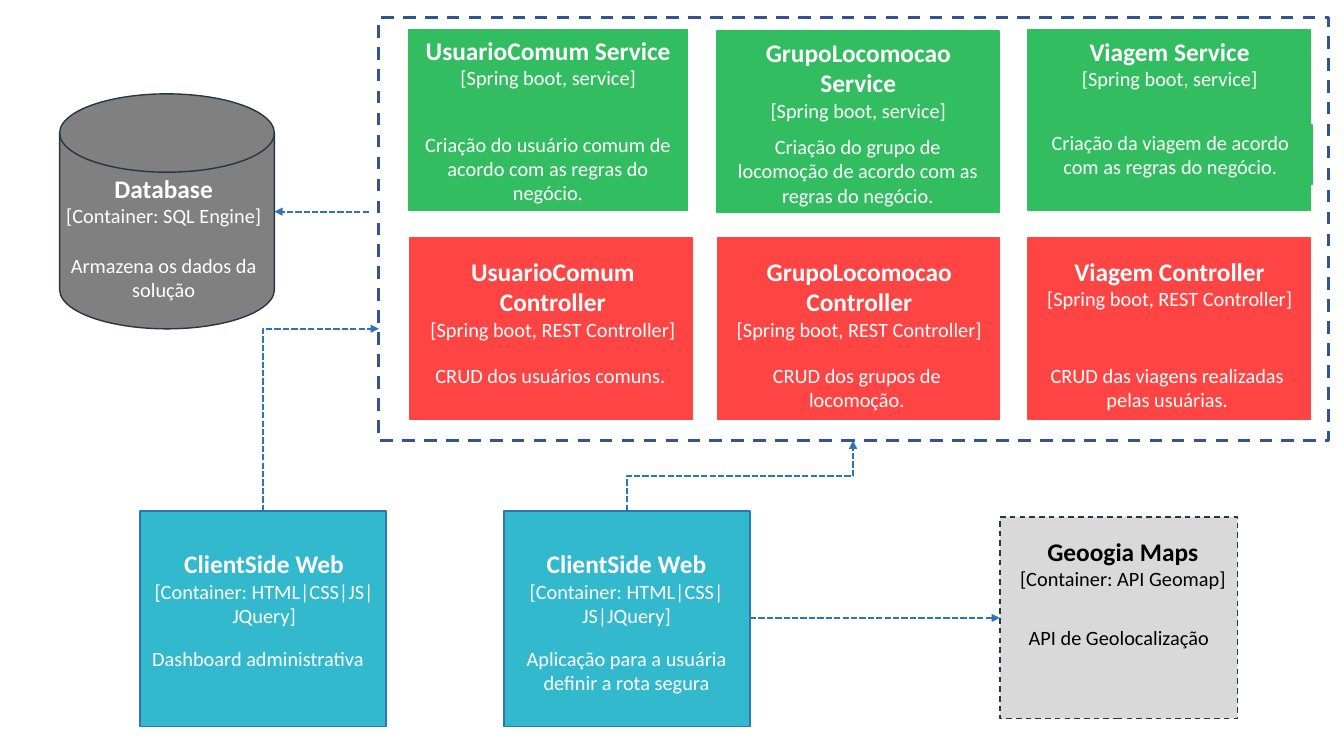
from lxml import etree
from pptx import Presentation
from pptx.dml.color import RGBColor
from pptx.enum.dml import MSO_LINE
from pptx.enum.shapes import MSO_CONNECTOR, MSO_SHAPE
from pptx.enum.text import MSO_ANCHOR, MSO_AUTO_SIZE, PP_ALIGN
from pptx.oxml.ns import qn
from pptx.util import Pt

RECTANGLE, DISK = MSO_SHAPE.RECTANGLE, MSO_SHAPE.FLOWCHART_MAGNETIC_DISK
STRAIGHT, ELBOW = MSO_CONNECTOR.STRAIGHT, MSO_CONNECTOR.ELBOW
DASH, SHORT_DASH = MSO_LINE.DASH, MSO_LINE.SQUARE_DOT
TOP, CENTER, GROW = MSO_ANCHOR.TOP, PP_ALIGN.CENTER, MSO_AUTO_SIZE.SHAPE_TO_FIT_TEXT

FONT, TITLE_SIZE, BODY_SIZE, PARAGRAPH_GAP = "Calibri", 18.1, 14.5, 17.7
ARROW_COLOR = "2E75B6"

STYLES = {
    "database": dict(shape=DISK, fill="808080", line="253746", text="FFFFFF"),
    "external": dict(fill="D9D9D9", line="253746", text="000000", dash=DASH),
    "client": dict(fill="32B9CD", line="2E75B6", text="FFFFFF"),
    "service": dict(fill="32BE60", line="32BE60", text="FFFFFF", label_line=0.75),
    "controller": dict(fill="FF4444", line="FF4444", text="FFFFFF", label_line=0),
}

# Rectangles are (left, top, width, height).
BACKEND = (270.6, 12.8, 678.4, 301.9)
SERVICE = "[Spring boot, service]"
CONTROLLER = "[Spring boot, REST Controller]"
CLIENT = ["ClientSide Web", "[Container: HTML|CSS|JS|JQuery]"]

# Each card: style, frame, then labels as (rectangle, lines).
OUTER_CARDS = [
    ("database", (42.6, 67.1, 153.4, 167.8), [
        ((37, 120.2, 159.8, 99.4),
         ["Database", "[Container: SQL Engine]", "Armazena os dados da solução"])]),
    ("external", (714.2, 369.4, 169.9, 144), [
        ((717.1, 379.4, 169.9, 46.8), ["Geoogia Maps", "[Container: API Geomap]"]),
        ((714.2, 442.8, 169.9, 25.2), ["API de Geolocalização"])]),
    ("client", (360, 365, 175.7, 154.1), [
        ((366.5, 388.1, 162, 64.1), CLIENT),
        ((359.3, 457.9, 176.4, 42.5), ["Aplicação para a usuária definir a rota segura"])]),
    ("client", (100.1, 365, 175.7, 154.1), [
        ((101.5, 388.1, 174.2, 64.1), CLIENT),
        ((98.5, 457.9, 171.4, 25.2), ["Dashboard administrativa"])]),
]
BACKEND_CARDS = [
    ("service", (291.6, 20.9, 199.4, 129.6), [
        ((293, 21.6, 197.3, 46.8), ["UsuarioComum Service", SERVICE]),
        ((294.5, 90.7, 193.7, 59.8),
         ["Criação do usuário comum de acordo com as regras do negócio."])]),
    ("controller", (293, 169.9, 201.6, 129.6), [
        ((295.2, 179.3, 199.4, 69.1), ["UsuarioComum Controller", CONTROLLER]),
        ((295.2, 255.6, 195.8, 25.2), ["CRUD dos usuários comuns."])]),
    ("service", (511.9, 22.3, 201.6, 129.6), [
        ((513.4, 23, 199.4, 69.1), ["GrupoLocomocao Service", SERVICE]),
        ((514.8, 92.2, 195.8, 59.8),
         ["Criação do grupo de locomoção de acordo com as regras do negócio."])]),
    ("service", (734.4, 20.9, 201.6, 129.6), [
        ((735.8, 22.3, 199.4, 46.8), ["Viagem Service", SERVICE]),
        ((734.4, 89.3, 203, 42.5),
         ["Criação da viagem de acordo com as regras do negócio."])]),
    ("controller", (512.6, 169.9, 201.6, 129.6), [
        ((514.1, 179.3, 199.4, 69.1), ["GrupoLocomocao Controller", CONTROLLER]),
        ((514.1, 255.6, 195.8, 42.5), ["CRUD dos grupos de locomoção."])]),
    ("controller", (734.4, 169.9, 201.6, 129.6), [
        ((735.8, 179.3, 199.4, 46.8), ["Viagem Controller", CONTROLLER]),
        ((735.8, 255.6, 195.8, 42.5), ["CRUD das viagens realizadas pelas usuárias."])]),
]

# Start and end points; a bend is the share of the climb before turning.
ARROWS = [
    (STRAIGHT, (263.5, 151.2), (196, 151.2), None),
    (ELBOW, (535.7, 441.4), (714.2, 441.4), None),
    (ELBOW, (187.9, 365), (270.6, 234.9), 1),
    (ELBOW, (447.8, 365), (609.3, 314.7), 0.5),
]


def color(value):
    """Turn a hex string into a colour."""
    return RGBColor.from_string(value)


def set_values(target, values):
    """Set each named attribute on the target."""
    for name, value in values.items():
        setattr(target, name, value)


def set_line(line, value, width, dash=None):
    """Give a line its colour, width and dash."""
    line.color.rgb = color(value)
    set_values(line, dict(width=Pt(width), dash_style=dash))


def add_box(shapes, rectangle, fill, line, width, shape=RECTANGLE, dash=None):
    """Add a preset shape; an empty fill or width leaves that part out."""
    box = shapes.add_shape(shape, *map(Pt, rectangle))
    box.shadow.inherit = False
    if fill:
        box.fill.solid()
        box.fill.fore_color.rgb = color(fill)
    else:
        box.fill.background()
    if width:
        set_line(box.line, line, width, dash)
    else:
        box.line.fill.background()
    return box


def write(box, lines, text_color):
    """Write centred lines: a bold title, a technology and a spaced note."""
    frame = box.text_frame
    set_values(frame, dict(word_wrap=True, auto_size=GROW, vertical_anchor=TOP))
    for index, text in enumerate(lines):
        para = frame.add_paragraph() if index else frame.paragraphs[0]
        para.alignment = CENTER
        if index == 2:
            para.space_before = Pt(PARAGRAPH_GAP)
        title = index == 0 and len(lines) > 1
        span = para.add_run()
        span.text = text
        size = TITLE_SIZE if title else BODY_SIZE
        set_values(span.font, dict(name=FONT, size=Pt(size), bold=title))
        span.font.color.rgb = color(text_color)


def add_card(page, style_name, rectangle, labels):
    """Add a group holding a card and its labels."""
    style = STYLES[style_name]
    fill, line = style["fill"], style["line"]
    shapes = page.shapes.add_group_shape().shapes
    add_box(shapes, rectangle, fill, line, 1, style.get("shape", RECTANGLE), style.get("dash"))
    for place, lines in labels:
        if "label_line" in style:
            box = add_box(shapes, place, fill, line, style["label_line"])
        else:
            box = shapes.add_textbox(*map(Pt, place))
        write(box, lines, style["text"])


def add_arrow(page, kind, start, end, bend):
    """Add a dashed arrow; one with a bend leaves upwards, then turns right."""
    (x1, y1), (x2, y2) = start, end
    if bend is not None:
        middle_x, middle_y = (x1 + x2) / 2, (y1 + y2) / 2
        half_width, half_height = abs(y2 - y1) / 2, abs(x2 - x1) / 2
        x1, x2 = middle_x - half_width, middle_x + half_width
        y1, y2 = middle_y - half_height, middle_y + half_height
    arrow = page.shapes.add_connector(kind, *map(Pt, (x1, y1, x2, y2)))
    set_line(arrow.line, ARROW_COLOR, 1.5, SHORT_DASH)
    properties = arrow._element.spPr
    if bend is not None:
        transform = properties.find(qn("a:xfrm"))
        for name, value in dict(rot="5400000", flipH="1", flipV="1").items():
            transform.set(name, value)
        guides = properties.find(qn("a:prstGeom")).find(qn("a:avLst"))
        etree.SubElement(guides, qn("a:gd"), name="adj1", fmla=f"val {int(bend * 100000)}")
    etree.SubElement(properties.find(qn("a:ln")), qn("a:tailEnd"), type="triangle")
    etree.SubElement(properties, qn("a:effectLst"))


deck = Presentation()
set_values(deck, dict(slide_width=Pt(960), slide_height=Pt(540)))
page = deck.slides.add_slide(deck.slide_layouts[6])
for card in OUTER_CARDS:
    add_card(page, *card)
add_box(page.shapes, BACKEND, None, "325491", 2.25, dash=DASH)
for card in BACKEND_CARDS:
    add_card(page, *card)
for arrow in ARROWS:
    add_arrow(page, *arrow)
deck.save("out.pptx")
